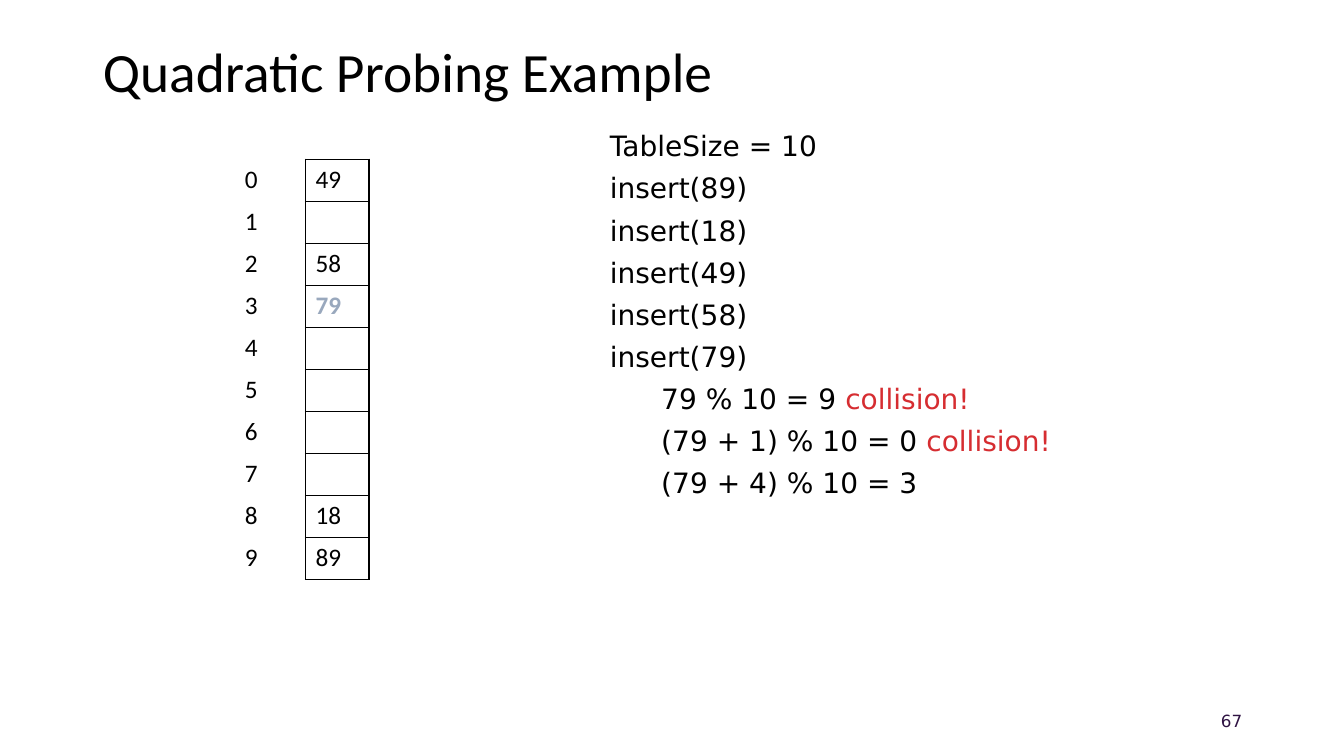
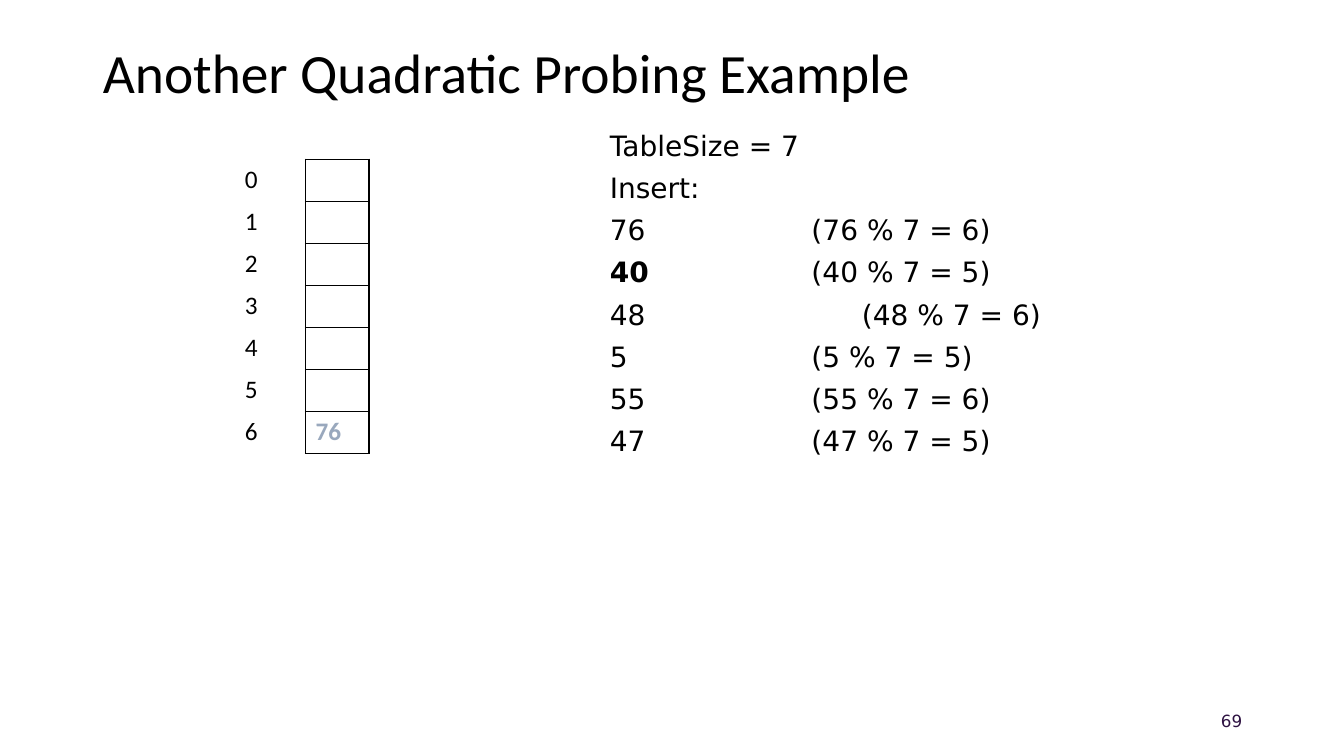
from dataclasses import dataclass

import pptx
import pptx.dml.color
import pptx.enum.text
import pptx.oxml.ns
import pptx.util
from lxml import etree

Inches = pptx.util.Inches
Pt = pptx.util.Pt
Align = pptx.enum.text.PP_ALIGN
Anchor = pptx.enum.text.MSO_ANCHOR
AutoSize = pptx.enum.text.MSO_AUTO_SIZE
qn = pptx.oxml.ns.qn

BLACK = "000000"
NEW_ENTRY = "99A8BD"
COLLISION = "D62D31"
PAGE_NUMBER = "2F1343"
HEADING_FONT = "Calibri"
BODY_FONT = "DejaVu Sans"

TABLE_LEFT, TABLE_TOP = Inches(2.33), Inches(1.58)
COLUMN_WIDTHS = (Inches(0.7), Inches(0.63))
ROW_HEIGHT = Inches(5 / 12)
STEPS_BOX = (Inches(5.95), Inches(1.23), Inches(4.82))
LINE_HEIGHT = Inches(0.42)


@dataclass
class Span:
    text: str
    color: str = BLACK
    bold: bool = False


@dataclass
class Line:
    spans: list
    indent: float = 0
    tab: float = 0


def rgb(value):
    return pptx.dml.color.RGBColor.from_string(value)


def style(span, name, size, color=BLACK, bold=False):
    span.font.name = name
    span.font.size = Pt(size)
    span.font.color.rgb = rgb(color)
    span.font.bold = bold


def set_title(page, text, height):
    title = page.shapes.title
    title.left, title.top = Inches(0.92), Inches(0.4)
    title.width, title.height = Inches(11.5), height
    frame = title.text_frame
    frame.text = text
    frame.auto_size = AutoSize.NONE
    frame.vertical_anchor = Anchor.MIDDLE
    para = frame.paragraphs[0]
    para.alignment = Align.LEFT
    para.line_spacing = 0.9
    style(para.runs[0], HEADING_FONT, 39.6)


def add_page_number(page, number):
    box = page.shapes.add_textbox(Inches(9.42), Inches(6.95), Inches(3), Inches(0.4))
    frame = box.text_frame
    frame.word_wrap = True
    frame.vertical_anchor = Anchor.MIDDLE
    frame.text = str(number)
    para = frame.paragraphs[0]
    para.alignment = Align.RIGHT
    style(para.runs[0], BODY_FONT, 12, PAGE_NUMBER)


def set_borders(cell, sides):
    properties = cell._tc.get_or_add_tcPr()
    for position, side in enumerate(sides):
        line = etree.Element(qn(f"a:ln{side}"), w=str(Pt(1)))
        fill = etree.SubElement(line, qn("a:solidFill"))
        etree.SubElement(fill, qn("a:srgbClr"), val=BLACK)
        properties.insert(position, line)


def fill_cell(cell, text, borders, color=BLACK, bold=False):
    cell.text = text
    cell.vertical_anchor = Anchor.MIDDLE
    cell.fill.background()
    set_borders(cell, borders)
    for span in cell.text_frame.paragraphs[0].runs:
        style(span, HEADING_FONT, 18, color, bold)


def add_hash_table(page, left, top, size, entries, newest):
    """Draw slots 0 to size - 1; entries maps a slot to its key."""
    frame = page.shapes.add_table(
        size, len(COLUMN_WIDTHS), left, top, sum(COLUMN_WIDTHS), ROW_HEIGHT * size
    )
    table = frame.table
    table.first_row = False
    table.horz_banding = False
    for column, width in zip(table.columns, COLUMN_WIDTHS):
        column.width = width
    for slot in range(size):
        is_new = slot == newest
        color = NEW_ENTRY if is_new else BLACK
        fill_cell(table.cell(slot, 0), str(slot), "R")
        fill_cell(table.cell(slot, 1), str(entries.get(slot, "")), "LRTB", color, is_new)


def add_steps(page, left, top, width, lines):
    box = page.shapes.add_textbox(left, top, width, LINE_HEIGHT * len(lines))
    frame = box.text_frame
    frame.word_wrap = True
    frame.auto_size = AutoSize.SHAPE_TO_FIT_TEXT
    for index, line in enumerate(lines):
        para = frame.add_paragraph() if index else frame.paragraphs[0]
        properties = para._p.get_or_add_pPr()
        if line.indent:
            properties.set("marL", str(Inches(line.indent)))
        if line.tab:
            tabs = etree.SubElement(properties, qn("a:tabLst"))
            etree.SubElement(tabs, qn("a:tab"), pos=str(Inches(line.tab)), algn="l")
        if index:
            para.space_before = Pt(6)
        for part in line.spans:
            span = para.add_run()
            span.text = part.text
            style(span, BODY_FONT, 20, part.color, part.bold)


def add_example(deck, title, title_height, number, size, entries, newest, lines):
    page = deck.slides.add_slide(deck.slide_layouts[5])
    set_title(page, title, title_height)
    add_hash_table(page, TABLE_LEFT, TABLE_TOP, size, entries, newest)
    add_steps(page, *STEPS_BOX, lines)
    add_page_number(page, number)


def probing_lines():
    calls = ["TableSize = 10"] + [f"insert({key})" for key in (89, 18, 49, 58, 79)]
    probes = [
        [Span("79 % 10 = 9 "), Span("collision!", COLLISION)],
        [Span("(79 + 1) % 10 = 0 "), Span("collision!", COLLISION)],
        [Span("(79 + 4) % 10 = 3")],
    ]
    return [Line([Span(call)]) for call in calls] + [
        Line(spans, indent=0.51) for spans in probes
    ]


def insertion_lines(keys, size, current):
    lines = [Line([Span(f"TableSize = {size}")]), Line([Span("Insert:")])]
    for key in keys:
        spans = [
            Span(str(key), bold=key == current),
            Span(f"\t({key} % {size} = {key % size})"),
        ]
        lines.append(Line(spans, tab=2.5 if key == 48 else 2))
    return lines


def main():
    deck = pptx.Presentation()
    deck.slide_width, deck.slide_height = Inches(13.33), Inches(7.5)
    add_example(
        deck, "Quadratic Probing Example", Inches(0.67), 67, 10,
        {0: 49, 2: 58, 3: 79, 8: 18, 9: 89}, 3, probing_lines(),
    )
    add_example(
        deck, "Another Quadratic Probing Example", Inches(0.7), 69, 7,
        {6: 76}, 6, insertion_lines((76, 40, 48, 5, 55, 47), 7, 40),
    )
    deck.save("out.pptx")


if __name__ == "__main__":
    main()
